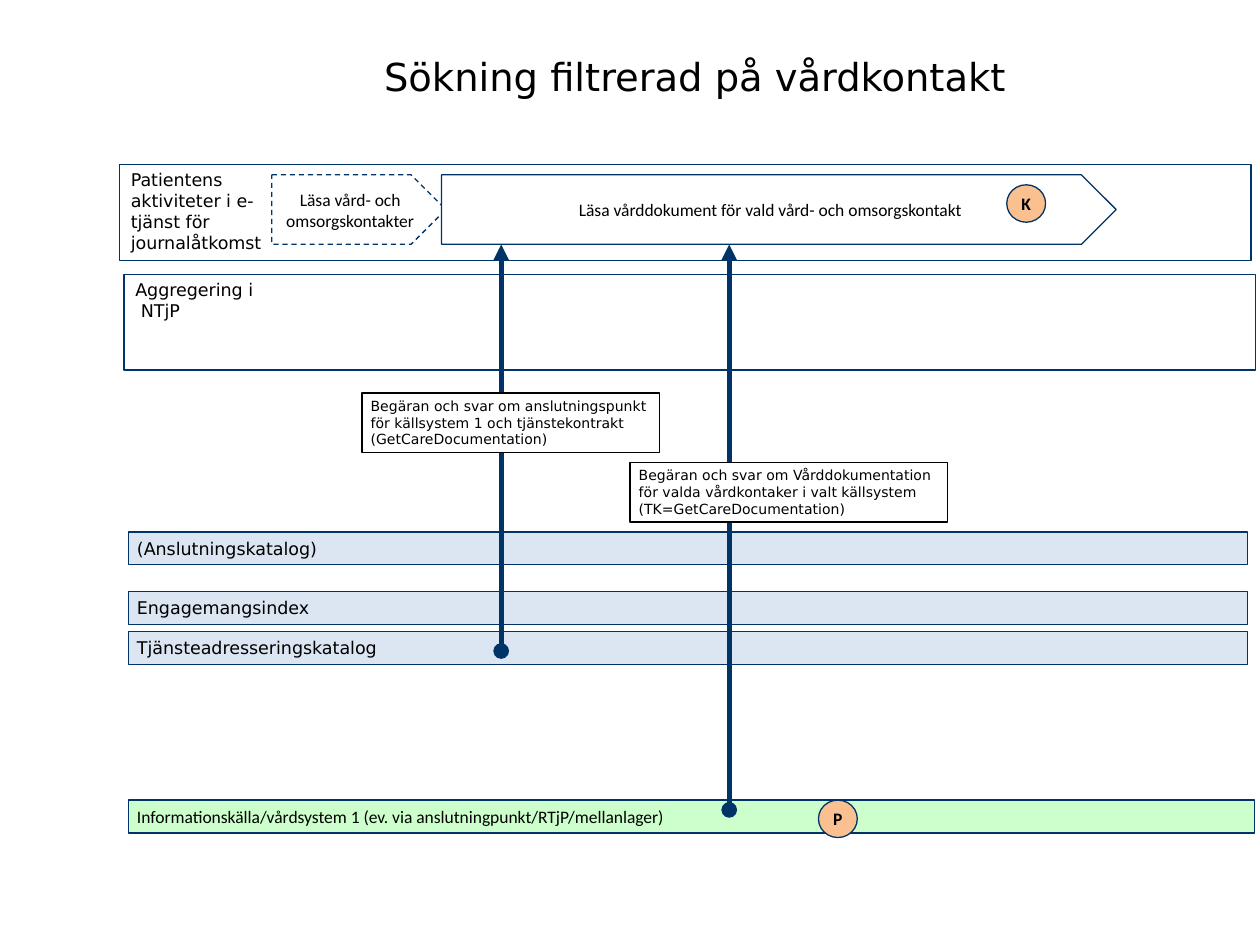
from lxml.etree import SubElement
from pptx import Presentation
from pptx.dml.color import RGBColor
from pptx.enum.dml import MSO_LINE
from pptx.enum.shapes import MSO_CONNECTOR, MSO_SHAPE
from pptx.enum.text import MSO_ANCHOR, PP_ALIGN
from pptx.oxml.ns import qn
from pptx.util import Pt

NAVY, BLACK, WHITE = "003468", "000000", "FFFFFF"
PALE_BLUE, PALE_GREEN, PEACH = "DCE6F2", "CCFFCC", "FAC090"
SANS, CALIBRI = "DejaVu Sans", "Calibri"


def color(value):
    return RGBColor.from_string(value)


def apply_format(target, values):
    for name, value in values.items():
        setattr(target, name, value)


def write(box, text, size=10, font=SANS, bold=False, align=PP_ALIGN.LEFT,
          anchor=MSO_ANCHOR.MIDDLE, wrap=True, margins=(5, 2.5)):
    side, edge = map(Pt, margins)
    frame = box.text_frame
    apply_format(frame, {
        "word_wrap": wrap, "vertical_anchor": anchor,
        "margin_left": side, "margin_right": side,
        "margin_top": edge, "margin_bottom": edge,
    })
    para = frame.paragraphs[0]
    para.text = text
    para.alignment = align
    for span in para.runs:
        apply_format(span.font, {"size": Pt(size), "name": font, "bold": bold})
        span.font.color.rgb = color(BLACK)


def add_box(page, bounds, kind=MSO_SHAPE.RECTANGLE, fill=None, line=NAVY):
    box = page.shapes.add_shape(kind, *map(Pt, bounds))
    box.shadow.inherit = False
    if fill:
        box.fill.solid()
        box.fill.fore_color.rgb = color(fill)
    else:
        box.fill.background()
    box.line.color.rgb = color(line)
    box.line.width = Pt(0.75)
    return box


def add_label(page, bounds, text, **style):
    label = page.shapes.add_textbox(*map(Pt, bounds))
    write(label, text, **style)


def add_panel(page, left, top, text, label_width):
    add_label(page, (left + 1.4, top, label_width, 53), text, anchor=MSO_ANCHOR.TOP)
    add_box(page, (left, top, 646.5, 54.7))


def add_band(page, top, text, width=639.5, fill=PALE_BLUE, font=SANS):
    band = add_box(page, (73.3, top, width, 18.8), fill=fill)
    write(band, text, font=font)


def add_activity(page, left, width, text, dashed=False):
    activity = add_box(page, (left, 99.9, width, 39.7), MSO_SHAPE.PENTAGON, WHITE)
    activity.adjustments[0] = 0.5
    if dashed:
        activity.line.dash_style = MSO_LINE.DASH
    write(activity, text, font=CALIBRI, align=PP_ALIGN.CENTER)


def add_flow(page, x, bottom):
    flow = page.shapes.add_connector(
        MSO_CONNECTOR.STRAIGHT, *map(Pt, (x, 139.7, x, bottom)))
    flow.line.color.rgb = color(NAVY)
    flow.line.width = Pt(3)
    outline = flow.line._get_or_add_ln()
    for tag, ending in (("a:headEnd", "triangle"), ("a:tailEnd", "oval")):
        SubElement(outline, qn(tag), type=ending)
    SubElement(flow._element.spPr, qn("a:effectLst"))


def add_message(page, left, top, width, text):
    message = add_box(page, (left, top, width, 34), fill=WHITE, line=BLACK)
    write(message, text, size=8, anchor=MSO_ANCHOR.TOP)


def add_marker(page, left, top, letter):
    marker = add_box(page, (left, top, 22.2, 21.4), MSO_SHAPE.OVAL, PEACH)
    write(marker, letter, font=CALIBRI, bold=True, align=PP_ALIGN.CENTER, wrap=False)


def build_page(page):
    add_label(page, (212.4, 21, 478.8, 45.4), "Sökning filtrerad på vårdkontakt",
              size=22, margins=(7.2, 3.6))
    for top, text in ((304, "(Anslutningskatalog)"), (338, "Engagemangsindex"),
                      (360.8, "Tjänsteadresseringskatalog")):
        add_band(page, top, text)
    add_band(page, 457.2,
             "Informationskälla/vårdsystem 1 (ev. via anslutningpunkt/RTjP/mellanlager)",
             643.7, PALE_GREEN, CALIBRI)
    add_panel(page, 70.9, 156.7, "Aggregering i\v NTjP", 79)
    add_panel(page, 68.4, 94.2,
              "Patientens aktiviteter i e-tjänst för journalåtkomst", 88)
    add_activity(page, 155.3, 99.5, "Läsa vård- och omsorgskontakter", dashed=True)
    add_flow(page, 286.4, 372)
    add_message(page, 206.8, 224.5, 170,
                "Begäran och svar om anslutningspunkt för källsystem 1 "
                "och tjänstekontrakt (GetCareDocumentation)")
    add_flow(page, 416.7, 462.8)
    add_message(page, 360, 264.3, 181.5,
                "Begäran och svar om Vårddokumentation för valda vårdkontaker "
                "i valt källsystem (TK=GetCareDocumentation)")
    add_activity(page, 252.3, 385.5,
                 "Läsa vårddokument för vald vård- och omsorgskontakt")
    add_marker(page, 467.7, 457.2, "P")
    add_marker(page, 575.3, 105.6, "K")


deck = Presentation()
deck.slide_width, deck.slide_height = Pt(720), Pt(540)
build_page(deck.slides.add_slide(deck.slide_layouts[6]))
deck.save("out.pptx")
